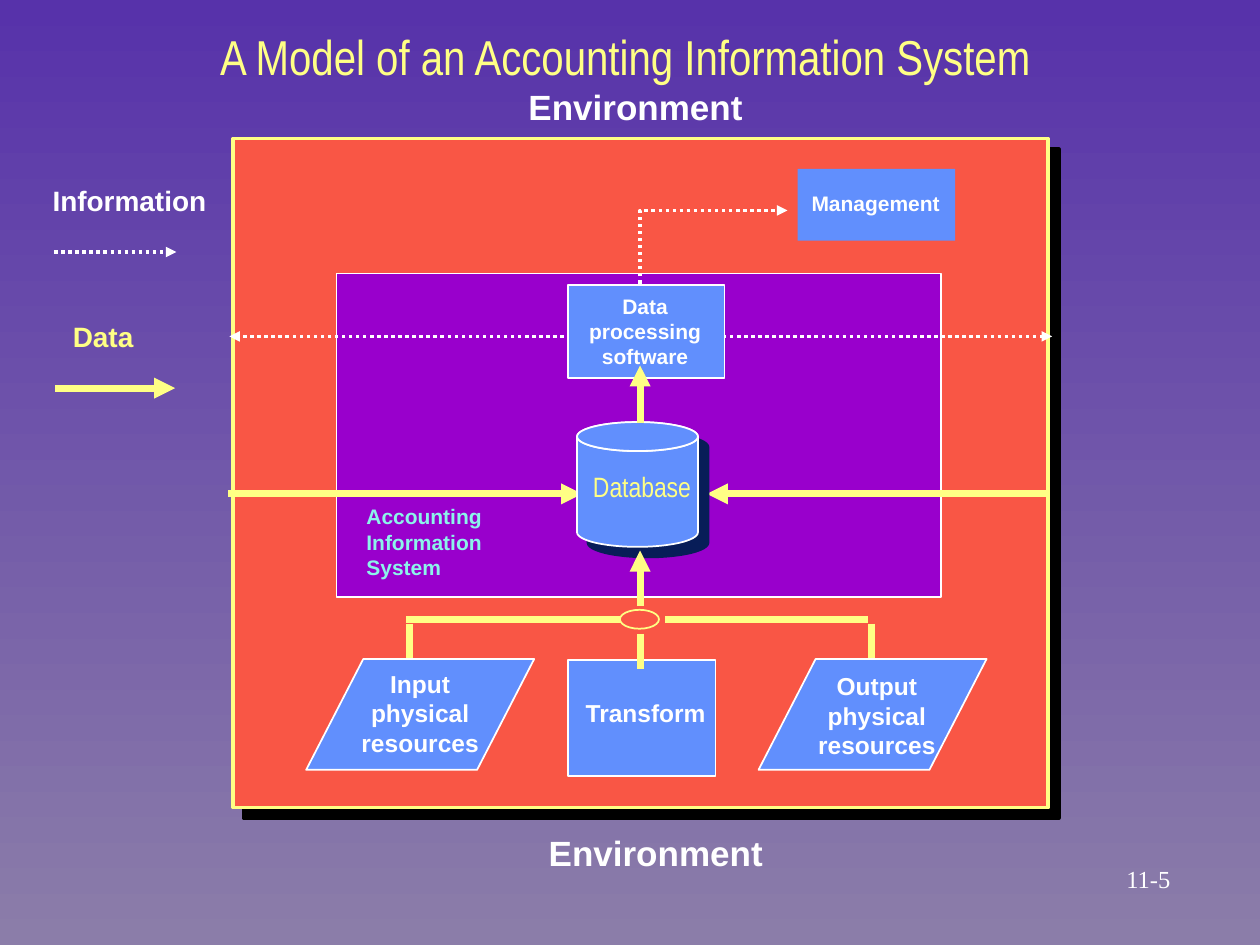
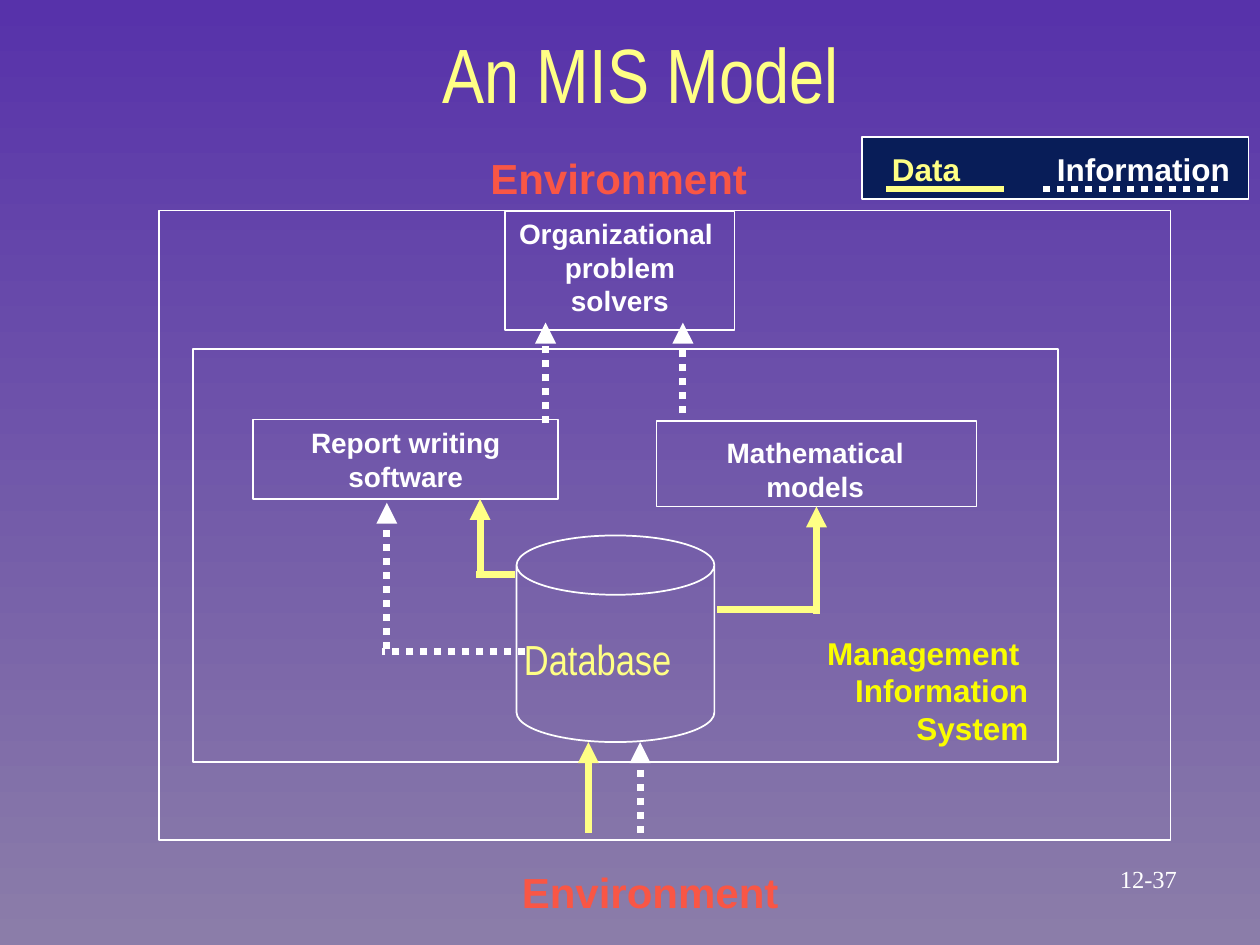
from lxml import etree
from pptx import Presentation
from pptx.dml.color import RGBColor
from pptx.enum.dml import MSO_LINE
from pptx.enum.shapes import MSO_CONNECTOR, MSO_SHAPE
from pptx.enum.text import MSO_ANCHOR, PP_ALIGN
from pptx.oxml.ns import qn
from pptx.util import Inches, Pt

RECT, OVAL = MSO_SHAPE.RECTANGLE, MSO_SHAPE.OVAL
CAN, SLANTED = MSO_SHAPE.CAN, MSO_SHAPE.PARALLELOGRAM
STRAIGHT, DOTTED = MSO_CONNECTOR.STRAIGHT, MSO_LINE.ROUND_DOT
LEFT, CENTER, RIGHT = PP_ALIGN.LEFT, PP_ALIGN.CENTER, PP_ALIGN.RIGHT
TOP, MIDDLE = MSO_ANCHOR.TOP, MSO_ANCHOR.MIDDLE
BOTTOM_SIDE = 2

WHITE, BLACK, YELLOW, BRIGHT = "FFFFFF", "000000", "FFFF85", "FAFD00"
RED, PURPLE, BLUE, NAVY, AQUA = "F95645", "9900CC", "618FFD", "081D58", "8CF4EA"
BACKDROP = ["5732AA", "8B7DA9"]
rgb = RGBColor.from_string

prs = Presentation()
prs.slide_width, prs.slide_height = Inches(10), Inches(7.5)
COL, ROW = prs.slide_width / 100, prs.slide_height / 75

TITLE = {"name": "Arial Narrow", "bold": False}
NARROW = {"name": "Arial Narrow", "size": Pt(16), "bold": False}
NUMBER = {"name": "Times New Roman", "size": Pt(14), "bold": False}


def add(slide, box, kind=None, fill=None, line=None, width=1, adj=None, shadow=None,
        text=None, size=16, color=WHITE, align=CENTER, anchor=TOP, font=None):
    x, y, w, h = box
    place = [int(x * COL), int(y * ROW), int(w * COL), int(h * ROW)]
    if kind is None:
        s = slide.shapes.add_textbox(*place)
    else:
        s = slide.shapes.add_shape(kind, *place)
        s.shadow.inherit = False
        if adj:
            s.adjustments[0] = adj
        for part, value in ((s.fill, fill), (s.line.fill, line)):
            if value:
                part.solid()
                part.fore_color.rgb = rgb(value)
            else:
                part.background()
        if line:
            s.line.width = Pt(width)
        if shadow:
            effects = s._element.spPr.find(qn("a:effectLst"))
            outer = etree.SubElement(effects, qn("a:outerShdw"), blurRad="0",
                                     dist=str(Pt(8.5)), dir="2700000", algn="ctr", rotWithShape="0")
            etree.SubElement(outer, qn("a:srgbClr"), val=shadow)
    if text:
        tf = s.text_frame
        tf.word_wrap, tf.vertical_anchor = True, anchor
        for i, words in enumerate(text.split("\n")):
            p = tf.paragraphs[0] if i == 0 else tf.add_paragraph()
            p.alignment = align
            r = p.add_run()
            r.text = words
            style = {"name": "Arial", "size": Pt(size), "bold": True} | (font or {})
            for key, value in style.items():
                setattr(r.font, key, value)
            r.font.color.rgb = rgb(color)
    return s


def draw(slide, points, color, width=4, dash=None, arrow=False):
    pts = [(int(x * COL), int(y * ROW)) for x, y in points]
    if len(pts) == 2:
        s = slide.shapes.add_connector(STRAIGHT, *pts[0], *pts[1])
        etree.SubElement(s._element.spPr, qn("a:effectLst"))
    else:
        builder = slide.shapes.build_freeform(*pts[0])
        builder.add_line_segments(pts[1:], close=False)
        s = builder.convert_to_shape()
        s.shadow.inherit = False
        s.fill.background()
    s.line.color.rgb = rgb(color)
    s.line.width = Pt(width)
    if dash:
        s.line.dash_style = dash
    if arrow:
        etree.SubElement(s.line._get_or_add_ln(), qn("a:tailEnd"), type="triangle")
    return s


slides = []
for title, title_box, size, number in [
    ("A Model of an Accounting Information System", (5.8, 1.6, 87.6, 5.6), 28, "11-5"),
    ("An MIS Model", (29.9, 1.6, 41.9, 8.3), 44, "12-37"),
]:
    slide = prs.slides.add_slide(prs.slide_layouts[6])
    fill = slide.background.fill
    fill.gradient()
    fill.gradient_angle = 270
    for stop, color in zip(fill.gradient_stops, BACKDROP):
        stop.color.rgb = rgb(color)
    add(slide, title_box, text=title, size=size, color=YELLOW, font=TITLE)
    add(slide, (84.8, 68, 12.7, 3.4), text=number, anchor=MIDDLE, font=NUMBER)
    slides.append(slide)
accounting, mis = slides

for x, y in [(23.3, 6.3), (24.9, 65.5)]:
    add(accounting, (x, y, 54.3, 4.3), text="Environment", size=20)
add(accounting, (3.2, 14.1, 15, 3.6), text="Information", align=LEFT)
add(accounting, (4.8, 24.9, 9, 3.6), text="Data", color=YELLOW, align=LEFT)
add(accounting, (18.5, 11, 64.7, 53.1), RECT, RED, YELLOW, 2, shadow=BLACK)
add(accounting, (26.7, 21.7, 48, 25.7), RECT, PURPLE, WHITE)

for start, end, y in [(4.3, 14, 20), (55.7, 83.5, 26.7), (45.3, 18.2, 26.7)]:
    draw(accounting, [(start, y), (end, y)], WHITE, 2, DOTTED, True)
for start, end, y in [(4.4, 13.9, 30.8), (83.1, 56.1, 39.2), (18.1, 46.2, 39.2)]:
    draw(accounting, [(start, y), (end, y)], YELLOW, arrow=True)
for start, end in [(49.4, 32.2), (52.8, 68.9)]:
    draw(accounting, [(start, 49.2), (end, 49.2)], YELLOW)
for x in (32.5, 69.2):
    draw(accounting, [(x, 49.5), (x, 53.1)], YELLOW)

add(accounting, (63.3, 13.4, 12.5, 5.7), RECT, BLUE)
for box in [(45.1, 52.4, 11.7, 9.2), (45.1, 22.6, 12.4, 7.4)]:
    add(accounting, box, RECT, BLUE, WHITE)
for x in (24.3, 60.2):
    add(accounting, (x, 52.3, 18.1, 8.8), SLANTED, BLUE, WHITE, adj=0.515)
add(accounting, (45.8, 33.5, 9.6, 9.9), CAN, BLUE, WHITE, adj=0.24, shadow=NAVY)
add(accounting, (45.8, 33.5, 9.6, 2.3), OVAL, BLUE, WHITE)
add(accounting, (49.2, 48.4, 3.1, 1.5), OVAL, RED, YELLOW)

for words, box, size in [
    ("Management", (63.1, 14.6, 12.8, 3), 12),
    ("Data\nprocessing\nsoftware", (44.9, 22.8, 12.6, 7), 12),
    ("Transform", (44.1, 54.9, 14.3, 3.3), 14),
    ("Input\nphysical\nresources", (27.5, 52.6, 11.7, 8), 14),
    ("Output\nphysical\nresources", (63.3, 52.8, 12.6, 8), 14),
]:
    add(accounting, box, text=words, size=size)
add(accounting, (28.1, 39.5, 15.3, 7), text="Accounting\nInformation\nSystem",
    size=12, color=AQUA, align=LEFT)
add(accounting, (44.9, 36.8, 12.1, 3.6), text="Database", color=YELLOW, font=NARROW)

for start, end, arrow in [(48.1, 43.7, True), (33.6, 29, True), (50.3, 53.1, False)]:
    draw(accounting, [(50.8, start), (50.8, end)], YELLOW, arrow=arrow)
draw(accounting, [(50.8, 22.5), (50.8, 16.7), (62.5, 16.7)], WHITE, 2, DOTTED, True)

for box in [(15.3, 27.7, 68.7, 32.8), (12.6, 16.7, 80.3, 50), (40.1, 16.8, 18.2, 9.4)]:
    add(mis, box, RECT, line=WHITE)
models = add(mis, (52.1, 33.4, 25.4, 6.8), RECT, line=WHITE)
add(mis, (20.1, 33.3, 24.2, 6.3), RECT, line=WHITE, text="Report writing\nsoftware")
add(mis, (68.4, 10.9, 30.7, 4.9), RECT, NAVY, WHITE)

for start, end, y, color, dash in [
    (56.9, 64.7, 48.4, YELLOW, None),
    (41.7, 30.3, 51.7, WHITE, DOTTED),
    (40.9, 37.8, 45.6, YELLOW, None),
    (70.3, 79.7, 15, YELLOW, None),
    (82.8, 97.2, 15, WHITE, DOTTED),
]:
    draw(mis, [(start, y), (end, y)], color, dash=dash)
for x, start, end, color, dash in [
    (30.7, 51.5, 39.9, WHITE, DOTTED),
    (38.1, 45.8, 39.6, YELLOW, None),
    (43.3, 33.6, 25.6, WHITE, DOTTED),
    (54.2, 32.8, 25.6, WHITE, DOTTED),
    (46.7, 66.1, 58.9, YELLOW, None),
    (50.8, 66.1, 58.9, WHITE, DOTTED),
]:
    draw(mis, [(x, start), (x, end)], color, dash=dash, arrow=True)
to_models = draw(mis, [(64.8, 48.7), (64.8, 40.2)], YELLOW, arrow=True)
to_models.end_connect(models, BOTTOM_SIDE)

for x, y in [(37.4, 11.6), (39.9, 68.3)]:
    add(mis, (x, y, 23.4, 5), text="Environment", size=24, color=RED)
add(mis, (40.2, 16.7, 18, 9), text="Organizational \nproblem\nsolvers")
add(mis, (54.7, 34.1, 20, 6.3), text="Mathematical\nmodels")
add(mis, (50.8, 49.8, 31.8, 10), text="Management \nInformation\nSystem",
    size=18, color=BRIGHT, align=RIGHT)
add(mis, (41, 42.5, 15.7, 16.4), CAN, line=WHITE, adj=0.3)
add(mis, (40.6, 49.8, 16.8, 5), text="Database", color=YELLOW, align=LEFT,
    font=TITLE | {"size": Pt(24)})

legend = add(mis, (69.8, 11.4, 29, 4), text="Data\t", size=18, color=YELLOW, align=LEFT)
p = legend.text_frame.paragraphs[0]
tabs = etree.SubElement(p._p.get_or_add_pPr(), qn("a:tabLst"))
etree.SubElement(tabs, qn("a:tab"), pos=str(Inches(1.31)), algn="l")
r = p.add_run()
r.text = "Information"
for key, value in {"name": "Arial", "size": Pt(18), "bold": True}.items():
    setattr(r.font, key, value)
r.font.color.rgb = rgb(WHITE)

prs.save("out.pptx")
